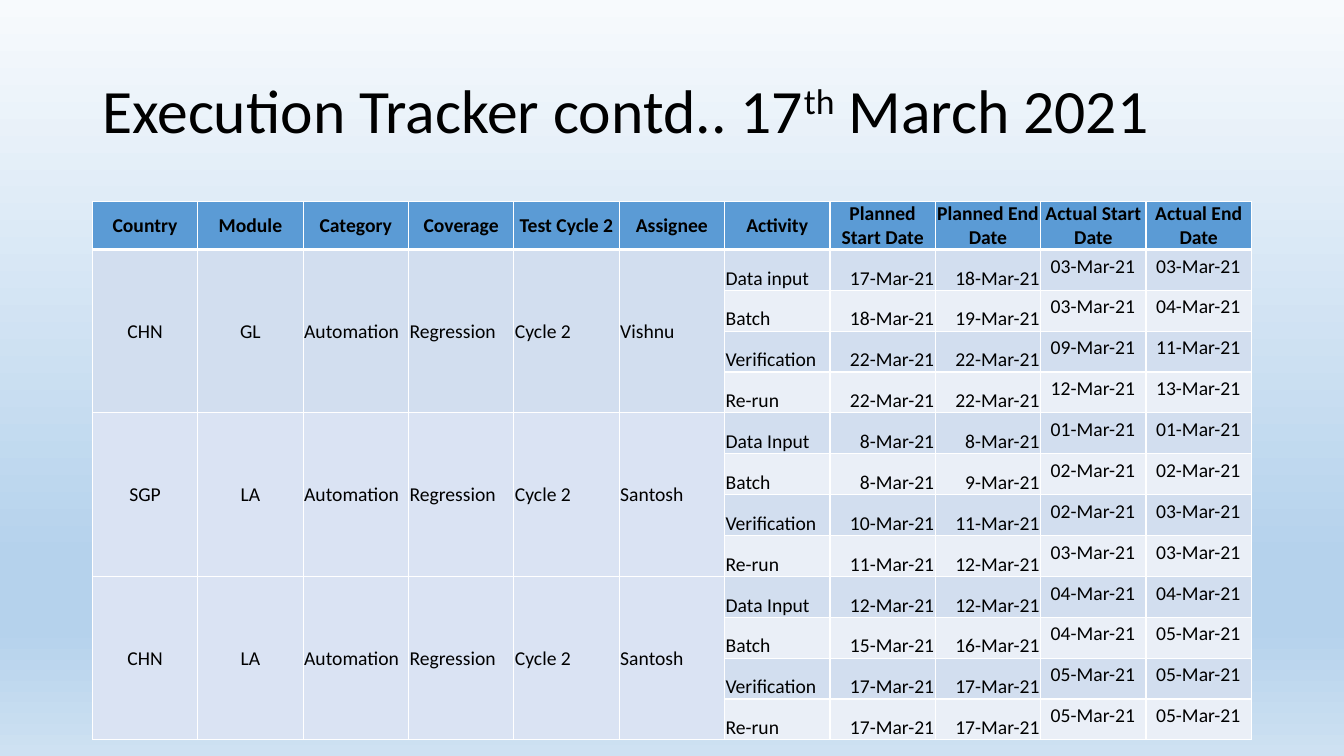
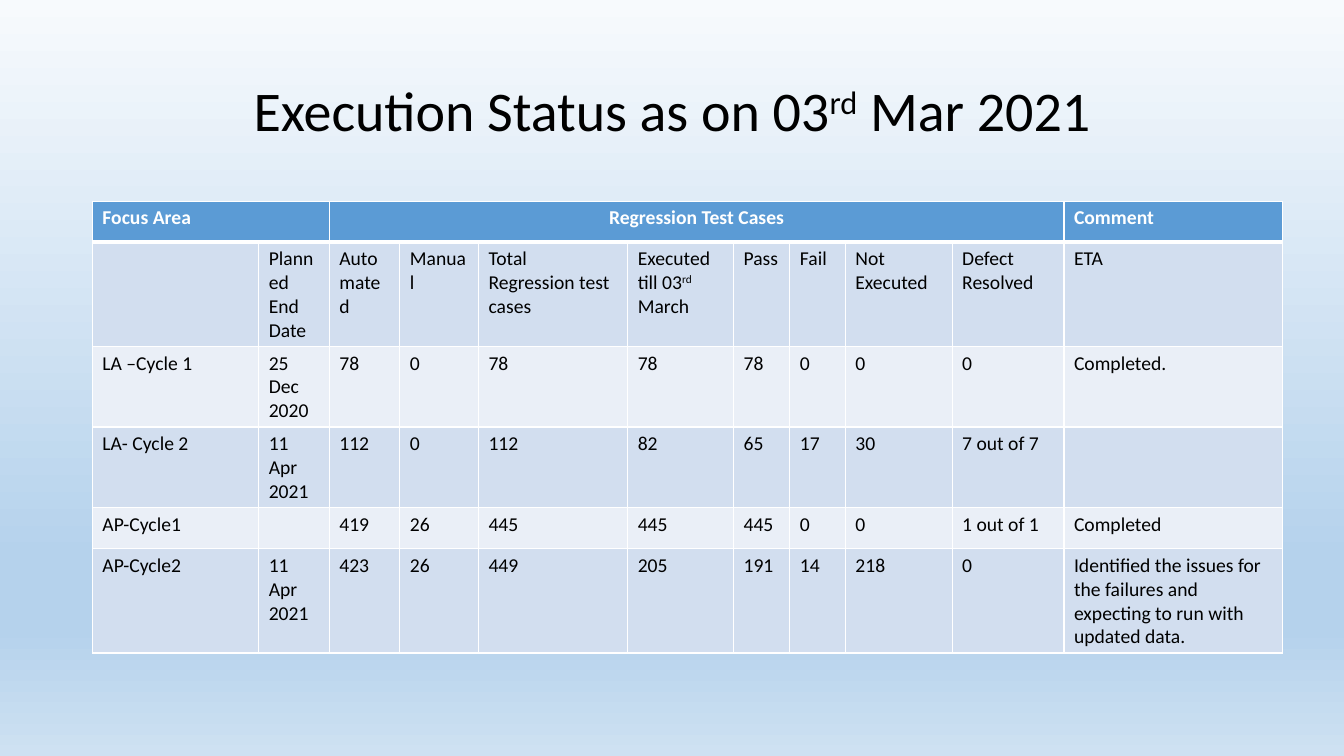
from copy import deepcopy
from dataclasses import dataclass
from lxml.etree import SubElement as Sub
from pptx import Presentation
from pptx.dml.color import RGBColor as RGB
from pptx.enum.text import MSO_ANCHOR as Anchor, PP_ALIGN as Align
from pptx.oxml.ns import qn
from pptx.util import Pt


@dataclass(frozen=True)
class Theme:
    font: str = "Calibri"
    text: str = "000000"
    light: str = "FFFFFF"
    head: str = "5B9BD5"
    bands: tuple = ("D2DEEF", "EAEFF7")
    group: str = "DAE3F3"
    sky: tuple = ((0, "F7FAFD"), (74, "B5D2EC"), (83, "B5D2EC"), (100, "CEE1F2"))
    body: float = 14
    thin: float = 1
    thick: float = 3
    left: float = 66
    wide: float = 828
    top: float = 143.75
    row: float = 29.2


class Deck:
    def __init__(self, theme):
        self.theme = theme
        self.prs = Presentation()
        self.prs.slide_width, self.prs.slide_height = Pt(960), Pt(540)
        self.slide = None
        self.paint()

    def paint(self):
        master = self.prs.slide_master
        fill = master.background.fill
        fill.gradient()
        fill.gradient_angle = 270
        stops = master.element.find(".//" + qn("a:gsLst"))
        base = stops[0]
        for stop in list(stops):
            stops.remove(stop)
        for place, color in self.theme.sky:
            stop = deepcopy(base)
            stop.set("pos", str(place * 1000))
            for child in list(stop):
                stop.remove(child)
            Sub(stop, qn("a:srgbClr"), val=color)
            stops.append(stop)

    def page(self):
        self.slide = self.prs.slides.add_slide(self.prs.slide_layouts[6])

    def label(self, frame, text, size, color=None, bold=False, align=Align.LEFT):
        para = frame.paragraphs[0]
        para.alignment = align
        font = para.font
        font.name, font.size, font.bold = self.theme.font, Pt(size), bold
        font.color.rgb = RGB.from_string(color or self.theme.text)
        for i, part in enumerate(text.split("^")):
            if part:
                run = para.add_run()
                run.text = part
                if i % 2:
                    run.font._element.set("baseline", "30000")
        return para

    def title(self, text, size, align=Align.LEFT):
        t = self.theme
        box = self.slide.shapes.add_textbox(Pt(t.left), Pt(28.75), Pt(t.wide), Pt(104.4))
        frame = box.text_frame
        frame.word_wrap = True
        frame.vertical_anchor = Anchor.MIDDLE
        self.label(frame, text, size, align=align).line_spacing = 0.9

    def table(self, rows, widths):
        t = self.theme
        shape = self.slide.shapes.add_table(
            rows, len(widths), Pt(t.left), Pt(t.top), Pt(sum(widths)), Pt(rows * t.row))
        grid = shape.table
        grid.first_row = grid.horz_banding = False
        for col, width in zip(grid.columns, widths):
            col.width = Pt(width)
        for r, row in enumerate(grid.rows):
            row.height = Pt(t.row)
            for cell in row.cells:
                self.edge(cell, r)
                self.shade(cell, t.bands[(r - 1) % 2] if r else t.head)
        return grid

    def edge(self, cell, row):
        t = self.theme
        heavy = {0: "B", 1: "T"}.get(row)
        props = cell._tc.get_or_add_tcPr()
        for side in "LRTB":
            width = t.thick if side == heavy else t.thin
            line = Sub(props, qn("a:ln" + side), w=str(int(Pt(width))))
            Sub(Sub(line, qn("a:solidFill")), qn("a:srgbClr"), val=t.light)

    def shade(self, cell, color):
        cell.fill.solid()
        cell.fill.fore_color.rgb = RGB.from_string(color)

    def cell(self, cell, text, anchor=Anchor.TOP, tight=False, **style):
        cell.vertical_anchor = anchor
        if tight:
            cell.margin_left = cell.margin_right = cell.margin_top = Pt(0.75)
            cell.margin_bottom = 0
        self.label(cell.text_frame, text, self.theme.body, **style)


HEADS = ("Country", "Module", "Category", "Coverage", "Test Cycle 2", "Assignee", "Activity",
         "Planned Start Date", "Planned End Date", "Actual Start Date", "Actual End Date")
STEPS = ("Batch", "Verification", "Re-run")
GROUPS = (
    ("CHN", "GL", "Vishnu", "Data input",
     ("17 18 03 03", "18 19 03 04", "22 22 09 11", "22 22 12 13")),
    ("SGP", "LA", "Santosh", "Data Input",
     ("8 8 01 01", "8 9 02 02", "10 11 02 03", "11 12 03 03")),
    ("CHN", "LA", "Santosh", "Data Input",
     ("12 12 04 04", "15 16 04 05", "17 17 05 05", "17 17 05 05")),
)
WIDTHS = (118.8, 50.4, 50.4, 56.2, 106.6, 75.6, 40.3, 39.6, 76.3, 79.9, 156.2)
STATUS = (
    ("", "Planned End Date", "Automated", "Manual", "Total Regression test cases",
     "Executed till 03^rd^ March", "Pass", "Fail", "Not Executed", "Defect Resolved", "ETA"),
    ("LA –Cycle 1", "25 Dec 2020", "78", "0", "78", "78", "78", "0", "0", "0", "Completed."),
    ("LA- Cycle 2", "11 Apr 2021", "112", "0", "112", "82", "65", "17", "30", "7 out of 7", ""),
    ("AP-Cycle1", "", "419", "26", "445", "445", "445", "0", "0", "1 out of 1", "Completed"),
    ("AP-Cycle2", "11 Apr 2021", "423", "26", "449", "205", "191", "14", "218", "0",
     "Identified the issues for the failures and expecting to run with updated data."),
)


def tracker(deck):
    deck.page()
    deck.title("Execution Tracker contd.. 17^th^ March 2021", 44)
    count = len(HEADS)
    grid = deck.table(13, [deck.theme.wide / count] * count)
    for c, text in enumerate(HEADS):
        deck.cell(grid.cell(0, c), text, Anchor.MIDDLE, True, bold=True, align=Align.CENTER)
    for g, (land, module, owner, first, dates) in enumerate(GROUPS):
        top = 1 + g * len(dates)
        facts = (land, module, "Automation", "Regression", "Cycle 2", owner)
        for c, text in enumerate(facts):
            cell = grid.cell(top, c)
            cell.merge(grid.cell(top + len(dates) - 1, c))
            deck.shade(cell, deck.theme.group if g else deck.theme.bands[0])
            align = Align.CENTER if c < 2 else Align.LEFT
            deck.cell(cell, text, Anchor.MIDDLE, True, align=align)
        for r, (step, days) in enumerate(zip((first, *STEPS), dates), top):
            deck.cell(grid.cell(r, 6), step, Anchor.BOTTOM, True)
            for c, day in enumerate(days.split(), 7):
                plan = c < 9
                deck.cell(grid.cell(r, c), f"{day}-Mar-21",
                          Anchor.BOTTOM if plan else Anchor.TOP, plan,
                          align=Align.RIGHT if plan else Align.LEFT)


def status(deck):
    deck.page()
    deck.title("Execution Status as on 03^rd^ Mar 2021", 40, Align.CENTER)
    grid = deck.table(len(STATUS) + 1, WIDTHS)
    heads = (("Focus Area", 0, 1, Align.LEFT),
             ("Regression Test Cases", 2, 9, Align.CENTER),
             ("Comment", 10, 10, Align.LEFT))
    for text, start, end, align in heads:
        cell = grid.cell(0, start)
        if end > start:
            cell.merge(grid.cell(0, end))
        deck.cell(cell, text, color=deck.theme.light, bold=True, align=align)
    for r, row in enumerate(STATUS, 1):
        for c, text in enumerate(row):
            deck.cell(grid.cell(r, c), text)


def main():
    deck = Deck(Theme())
    tracker(deck)
    status(deck)
    deck.prs.save("out.pptx")


if __name__ == "__main__":
    main()
